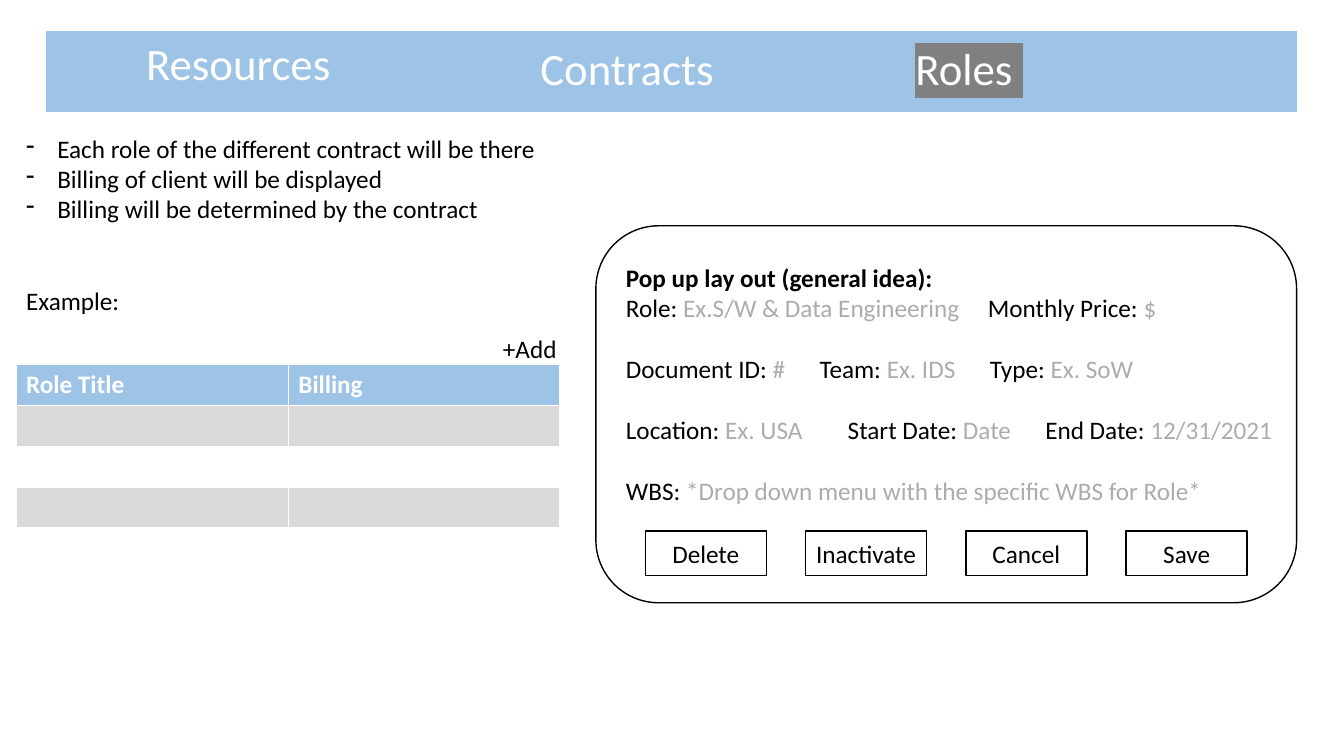
import pptx
import pptx.dml.color
import pptx.enum.shapes
import pptx.enum.text
import pptx.oxml
import pptx.oxml.ns
import pptx.util
from pptx.util import Inches

FONT = "Calibri"
COLORS = {
    "text": "000000",
    "hint": "AFABAB",
    "white": "FFFFFF",
    "bar": "9DC3E6",
    "band": "D9D9D9",
    "active": "808080",
}
LINE = 22  # height of one 18 pt text line, in points
SHAPES = pptx.enum.shapes.MSO_SHAPE
MIDDLE = pptx.enum.text.MSO_ANCHOR.MIDDLE

NOTES = [
    "Each role of the different contract will be there",
    "Billing of client will be displayed",
    "Billing will be determined by the contract",
]
# Each form row: fields of (offset from the left, label, hint)
FORM_ROWS = [
    [(0, "Role: ", "Ex.S/W & Data Engineering"), (3.59, "Monthly Price: ", "$")],
    [(0, "Document ID: ", "#"), (1.92, "Team: ", "Ex. IDS"), (3.61, "Type: ", "Ex. SoW")],
    [(0, "Location: ", "Ex. USA"), (2.2, "Start Date: ", "Date"),
     (4.16, "End Date: ", "12/31/2021")],
    [(0, "WBS: ", "*Drop down menu with the specific WBS for Role*")],
]
TABS = [("Resources", 1.35, -0.07), ("Contracts", 5.26, -0.02), ("Roles ", 8.98, -0.02)]
BUTTONS = ["Delete", "Inactivate", "Cancel", "Save"]


def rgb(name):
    return pptx.dml.color.RGBColor.from_string(COLORS[name])


def add_xml(parent, tag, content="", **attributes):
    """Append a drawing element with the given attributes and inner XML."""
    listed = " ".join(f'{key}="{value}"' for key, value in attributes.items())
    namespace = pptx.oxml.ns.nsdecls("a")
    parent.append(pptx.oxml.parse_xml(f"<a:{tag} {namespace} {listed}>{content}</a:{tag}>"))


def style(para, size=18, color="text", bold=False):
    para.font.name = FONT
    para.font.size = pptx.util.Pt(size)
    para.font.bold = bold
    if color:
        para.font.color.rgb = rgb(color)


def add_box(page, left, top, width, height):
    box = page.shapes.add_textbox(Inches(left), Inches(top), Inches(width), Inches(height))
    box.text_frame.word_wrap = True
    return box.text_frame


def add_paragraph(frame, text="", **look):
    """Fill the empty first paragraph, or add one after it."""
    first = frame.paragraphs[0]
    para = frame.add_paragraph() if first.runs else first
    if text:
        para.add_run().text = text
    style(para, **look)
    return para


def add_panel(page, kind, left, top, width, height, fill="white", line="text"):
    panel = page.shapes.add_shape(
        kind, Inches(left), Inches(top), Inches(width), Inches(height))
    panel.shadow.inherit = False
    panel.fill.solid()
    panel.fill.fore_color.rgb = rgb(fill)
    panel.line.color.rgb = rgb(line)
    panel.line.width = pptx.util.Pt(1)
    return panel


def add_bullet(frame, text):
    para = add_paragraph(frame, text)
    properties = para._p.get_or_add_pPr()
    properties.set("marL", str(Inches(0.31)))
    properties.set("indent", str(-Inches(0.31)))
    bullet = pptx.oxml.parse_xml(f'<a:buChar {pptx.oxml.ns.nsdecls("a")} char="-"/>')
    properties.insert(0, bullet)


def add_form_row(frame, fields):
    para = add_paragraph(frame, color=None)
    para.space_after = pptx.util.Pt(LINE)
    stops = ""
    for offset, label, hint in fields:
        if offset:
            stops += f'<a:tab pos="{Inches(offset)}" algn="l"/>'
            label = "\t" + label
        for text, color in ((label, "text"), (hint, "hint")):
            span = para.add_run()
            span.text = text
            span.font.color.rgb = rgb(color)
    if stops:
        properties = para._p.get_or_add_pPr()
        add_xml(properties, "tabLst", stops)
        # Tab stops come before the default run properties
        properties.append(properties.find(pptx.oxml.ns.qn("a:defRPr")))


def add_tab(page, name, left, top):
    frame = add_box(page, left, top, 2.81, 1.45)
    frame.vertical_anchor = MIDDLE
    para = add_paragraph(frame, name, size=32, color="white")
    para.line_spacing = 0.9
    return para


def add_roles_table(page):
    table = page.shapes.add_table(
        4, 2, Inches(0.16), Inches(3.62), Inches(5.39), Inches(1.62)).table
    for column, width in zip(table.columns, (2.7, 2.69)):
        column.width = Inches(width)
    for row, fill in zip(table.rows, ("bar", "band", "white", "band")):
        for cell in row.cells:
            cell.fill.solid()
            cell.fill.fore_color.rgb = rgb(fill)
    for cell, title in zip(table.rows[0].cells, ("Role Title", "Billing")):
        add_paragraph(cell.text_frame, title, color="white", bold=True)


def add_button(page, label, left):
    button = add_panel(page, SHAPES.RECTANGLE, left, 5.27, 1.2, 0.44)
    frame = button.text_frame
    frame.vertical_anchor = MIDDLE
    para = add_paragraph(frame, label)
    para.alignment = pptx.enum.text.PP_ALIGN.CENTER


def main():
    deck = pptx.Presentation()
    deck.slide_width, deck.slide_height = Inches(13.33), Inches(7.5)
    page = deck.slides.add_slide(deck.slide_layouts[6])

    # Notes and the example table
    notes = add_box(page, 0.16, 1.27, 11.89, 2.22)
    for note in NOTES:
        add_bullet(notes, note)
    add_paragraph(notes, "Example:").space_before = pptx.util.Pt(2 * LINE)
    add_roles_table(page)
    add_paragraph(add_box(page, 4.89, 3.26, 1, 0.4), "+Add")

    # Pop-up form
    add_panel(page, SHAPES.ROUNDED_RECTANGLE, 5.91, 2.24, 6.95, 3.74)
    form = add_box(page, 6.11, 2.55, 7.43, 2.83)
    add_paragraph(form, "Pop up lay out (general idea):", bold=True)
    for fields in FORM_ROWS:
        add_form_row(form, fields)
    for index, label in enumerate(BUTTONS):
        add_button(page, label, 6.4 + 1.59 * index)

    # Navigation bar, with the last tab active
    add_panel(page, SHAPES.RECTANGLE, 0.46, 0.31, 12.4, 0.79, "bar", "bar")
    tabs = [add_tab(page, *tab) for tab in TABS]
    active = tabs[-1].runs[0]
    add_xml(active._r.get_or_add_rPr(), "highlight",
            f'<a:srgbClr val="{COLORS["active"]}"/>')

    deck.save("out.pptx")


main()
